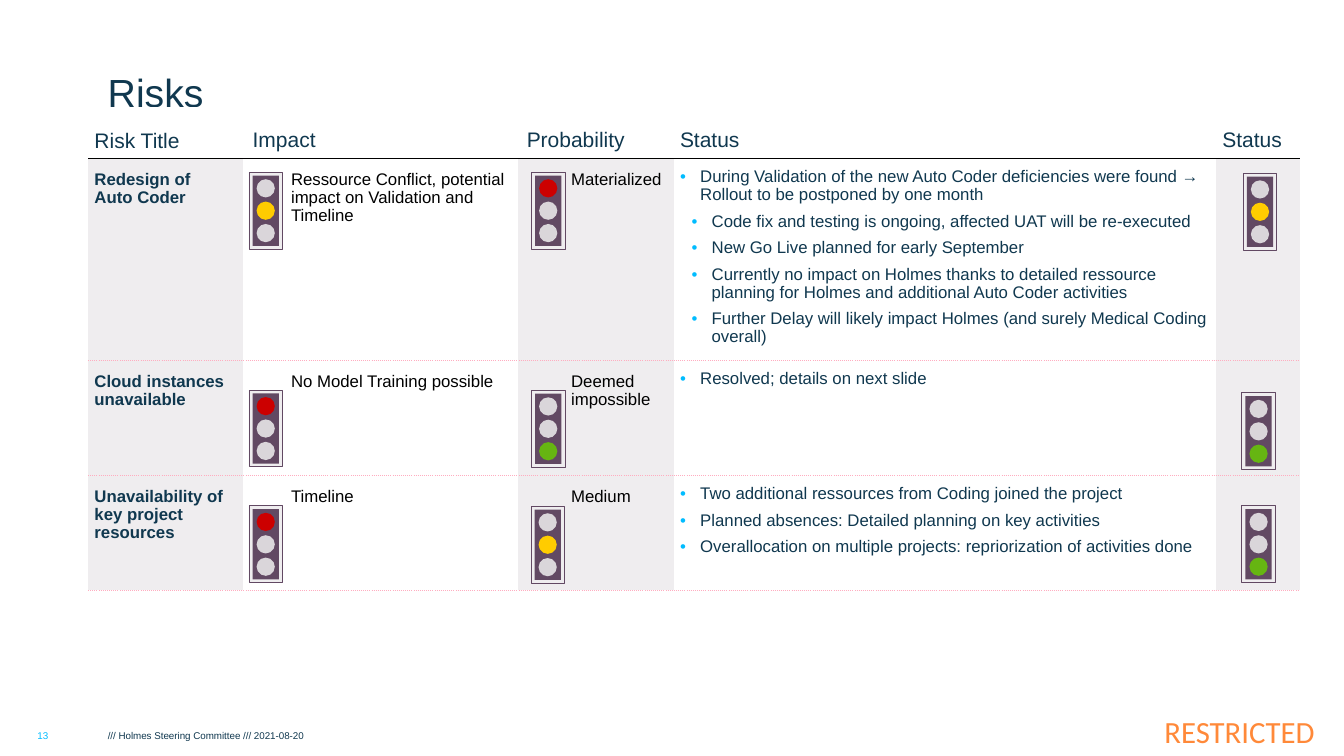
import pptx
import pptx.dml.color
import pptx.enum.shapes
import pptx.enum.text
import pptx.util
from lxml import etree

Pt = pptx.util.Pt
ALIGN = pptx.enum.text.PP_ALIGN
ANCHOR = pptx.enum.text.MSO_ANCHOR
SHAPE = pptx.enum.shapes.MSO_SHAPE
DRAWING = "{http://schemas.openxmlformats.org/drawingml/2006/main}"

NAVY, CYAN, BLACK, WHITE = "10384F", "00BCFF", "000000", "FFFFFF"
PALE, PLUM, UNLIT = "EFEDEF", "624963", "DAD6DA"
RED, YELLOW, GREEN = "CC0000", "FFCC00", "66B512"

GAP = (WHITE, 6, "solid")
RULE = (BLACK, 0.5, "solid")
DOTTED = ("FFADC0", 0.5, "sysDot")

COLUMN_WIDTHS = [113, 191.5, 113.8, 387.4, 59.8]
ROW_HEIGHTS = [34, 144.3, 82.1, 82.1]
COLUMN_FILLS = [PALE, WHITE, PALE, WHITE, PALE]
HEADINGS = ["Risk Title", "Impact", "Probability", "Status", "Status"]

RISKS = [
    ("Redesign of \vAuto Coder",
     "Ressource Conflict, potential impact on Validation and Timeline",
     "Materialized",
     [(1, "During Validation of the new Auto Coder deficiencies were found → "
          "Rollout to be postponed by one month"),
      (2, "Code fix and testing is ongoing, affected UAT will be re-executed"),
      (2, "New Go Live planned for early September"),
      (2, "Currently no impact on Holmes thanks to detailed ressource planning "
          "for Holmes and additional Auto Coder activities"),
      (2, "Further Delay will likely impact Holmes (and surely Medical Coding overall)")]),
    ("Cloud instances unavailable", "No Model Training possible", "Deemed impossible",
     [(1, "Resolved; details on next slide")]),
    ("Unavailability of key project resources", "Timeline", "Medium",
     [(1, "Two additional ressources from Coding joined the project"),
      (1, "Planned absences: Detailed planning on key activities"),
      (1, "Overallocation on multiple projects: repriorization of activities done")]),
]

LIGHTS = [
    (177.8, 123, YELLOW), (379.6, 123, RED), (888, 123.8, YELLOW),
    (177.8, 278.6, RED), (379.6, 278.8, GREEN), (887, 280.6, GREEN),
    (177.8, 361.3, RED), (379.2, 361.6, YELLOW), (887, 361.3, GREEN),
]
LAMP_ORDER = [RED, YELLOW, GREEN]


def rgb(value):
    """Turn a hex string into a colour."""
    return pptx.dml.color.RGBColor.from_string(value)


def add_bullet(paragraph):
    """Give a paragraph a cyan bullet."""
    properties = paragraph._p.get_or_add_pPr()
    colour = etree.SubElement(properties, DRAWING + "buClr")
    etree.SubElement(colour, DRAWING + "srgbClr", val=CYAN)
    etree.SubElement(properties, DRAWING + "buFont", typeface="Arial")
    etree.SubElement(properties, DRAWING + "buChar", char="•")


def write(paragraph, text, size=12, colour=NAVY, font="Arial", bold=False,
          align=ALIGN.LEFT, indent=0, hanging=0, bullet=False,
          before=0, after=0, spacing=1.0):
    """Put formatted text into a paragraph."""
    paragraph.text = text
    properties = paragraph._p.get_or_add_pPr()
    properties.set("marL", str(Pt(indent)))
    properties.set("indent", str(Pt(-hanging)))
    if bullet:
        add_bullet(paragraph)
    paragraph.alignment = align
    paragraph.line_spacing = spacing
    paragraph.space_before = Pt(before)
    paragraph.space_after = Pt(after)
    for run in paragraph.runs:
        run.font.name = font
        run.font.size = Pt(size)
        run.font.bold = bold
        run.font.color.rgb = rgb(colour)


def add_label(slide, left, top, width, height, text, anchor=ANCHOR.TOP, **text_format):
    """Add a text box without insets."""
    frame = slide.shapes.add_textbox(Pt(left), Pt(top), Pt(width), Pt(height)).text_frame
    frame.margin_left = frame.margin_right = frame.margin_top = frame.margin_bottom = 0
    frame.word_wrap = True
    frame.vertical_anchor = anchor
    write(frame.paragraphs[0], text, **text_format)


def set_edge(cell, side, edge):
    """Draw one cell border, or clear it when edge is None."""
    properties = cell._tc.get_or_add_tcPr()
    line = etree.SubElement(properties, DRAWING + "ln" + side)
    if edge is None:
        etree.SubElement(line, DRAWING + "noFill")
        return
    colour, width, dash = edge
    line.set("w", str(Pt(width)))
    fill = etree.SubElement(line, DRAWING + "solidFill")
    etree.SubElement(fill, DRAWING + "srgbClr", val=colour)
    etree.SubElement(line, DRAWING + "prstDash", val=dash)


def style_cell(cell, row, column):
    """Set the borders, fill and insets that a grid position calls for."""
    set_edge(cell, "L", GAP if column in (1, 2) else None)
    set_edge(cell, "R", GAP if column in (0, 1) else None)
    set_edge(cell, "T", [GAP, RULE, DOTTED, DOTTED][row])
    set_edge(cell, "B", RULE if row == 0 else DOTTED)
    cell.fill.solid()
    cell.fill.fore_color.rgb = rgb(COLUMN_FILLS[column] if row else WHITE)
    cell.margin_left, cell.margin_right = Pt(4.6), Pt(5)
    cell.margin_top = Pt(0 if row == 0 else 7.1 if column == 3 else 8.9)
    cell.margin_bottom = Pt(0 if row else 4.3 if column == 0 else 5)
    cell.vertical_anchor = ANCHOR.TOP if row else ANCHOR.BOTTOM


def write_status(frame, points):
    """Write the bulleted status points of one risk."""
    for number, (level, point) in enumerate(points):
        paragraph = frame.add_paragraph() if number else frame.paragraphs[0]
        write(paragraph, point, bullet=True, indent=14.4 if level == 1 else 22.6,
              hanging=14.4, before=3 if number else 0, after=3, spacing=0.96)


def add_risk_table(slide):
    """Add the table of risks."""
    frame = slide.shapes.add_table(len(ROW_HEIGHTS), len(COLUMN_WIDTHS), Pt(62.9), Pt(79.2),
                                   Pt(sum(COLUMN_WIDTHS)), Pt(sum(ROW_HEIGHTS)))
    table = frame.table
    table.first_row = table.horz_banding = False
    for column, width in zip(table.columns, COLUMN_WIDTHS):
        column.width = Pt(width)
    for row, height in enumerate(ROW_HEIGHTS):
        table.rows[row].height = Pt(height)
        for column in range(len(COLUMN_WIDTHS)):
            style_cell(table.cell(row, column), row, column)
    for column, heading in enumerate(HEADINGS):
        write(table.cell(0, column).text_frame.paragraphs[0], heading, size=15,
              indent=4.3 if column == 2 else 0, spacing=0.96)
    for row, (title, impact, probability, points) in enumerate(RISKS, 1):
        title_cell, impact_cell, probability_cell, status_cell = [
            table.cell(row, column).text_frame for column in range(4)]
        write(title_cell.paragraphs[0], title, bold=True, spacing=0.96)
        write(impact_cell.paragraphs[0], impact, colour=BLACK, indent=27.4, spacing=0.96)
        write(probability_cell.paragraphs[0], probability, colour=BLACK, indent=36,
              spacing=0.96)
        write_status(status_cell, points)


def add_part(group, kind, left, top, width, height, fill, outline=None):
    """Add one filled part of a traffic light."""
    part = group.shapes.add_shape(kind, Pt(left), Pt(top), Pt(width), Pt(height))
    part.shadow.inherit = False
    part.fill.solid()
    part.fill.fore_color.rgb = rgb(fill)
    if outline:
        part.line.color.rgb = rgb(outline)
        part.line.width = Pt(0.5)
    else:
        part.line.fill.background()


def add_traffic_light(slide, left, top, lit):
    """Add a grouped traffic light with one lamp lit."""
    light = slide.shapes.add_group_shape()
    add_part(light, SHAPE.RECTANGLE, left, top, 24, 54.8, PALE, PLUM)
    add_part(light, SHAPE.RECTANGLE, left + 2.6, top + 2.4, 18.8, 50.2, PLUM)
    for position, lamp in enumerate(LAMP_ORDER):
        add_part(light, SHAPE.OVAL, left + 5.5, top + 5 + 16 * position, 13, 13,
                 lamp if lamp == lit else UNLIT)


def main():
    """Build the risks slide."""
    deck = pptx.Presentation()
    deck.slide_width, deck.slide_height = Pt(960), Pt(540)
    slide = deck.slides.add_slide(deck.slide_layouts[6])
    add_label(slide, 791, 504, 148, 36, "RESTRICTED", anchor=ANCHOR.MIDDLE,
              size=22, font="Calibri", colour="FF8939", align=ALIGN.RIGHT)
    add_label(slide, 77, 14.4, 850, 67.7, "Risks", anchor=ANCHOR.BOTTOM, size=28)
    add_risk_table(slide)
    add_label(slide, 15.1, 521.3, 31, 8.6, "13", size=7, colour=CYAN, align=ALIGN.CENTER)
    add_label(slide, 77, 521.3, 680, 8.6, "/// Holmes Steering Committee /// 2021-08-20", size=7)
    for left, top, lit in LIGHTS:
        add_traffic_light(slide, left, top, lit)
    deck.save("out.pptx")


if __name__ == "__main__":
    main()
